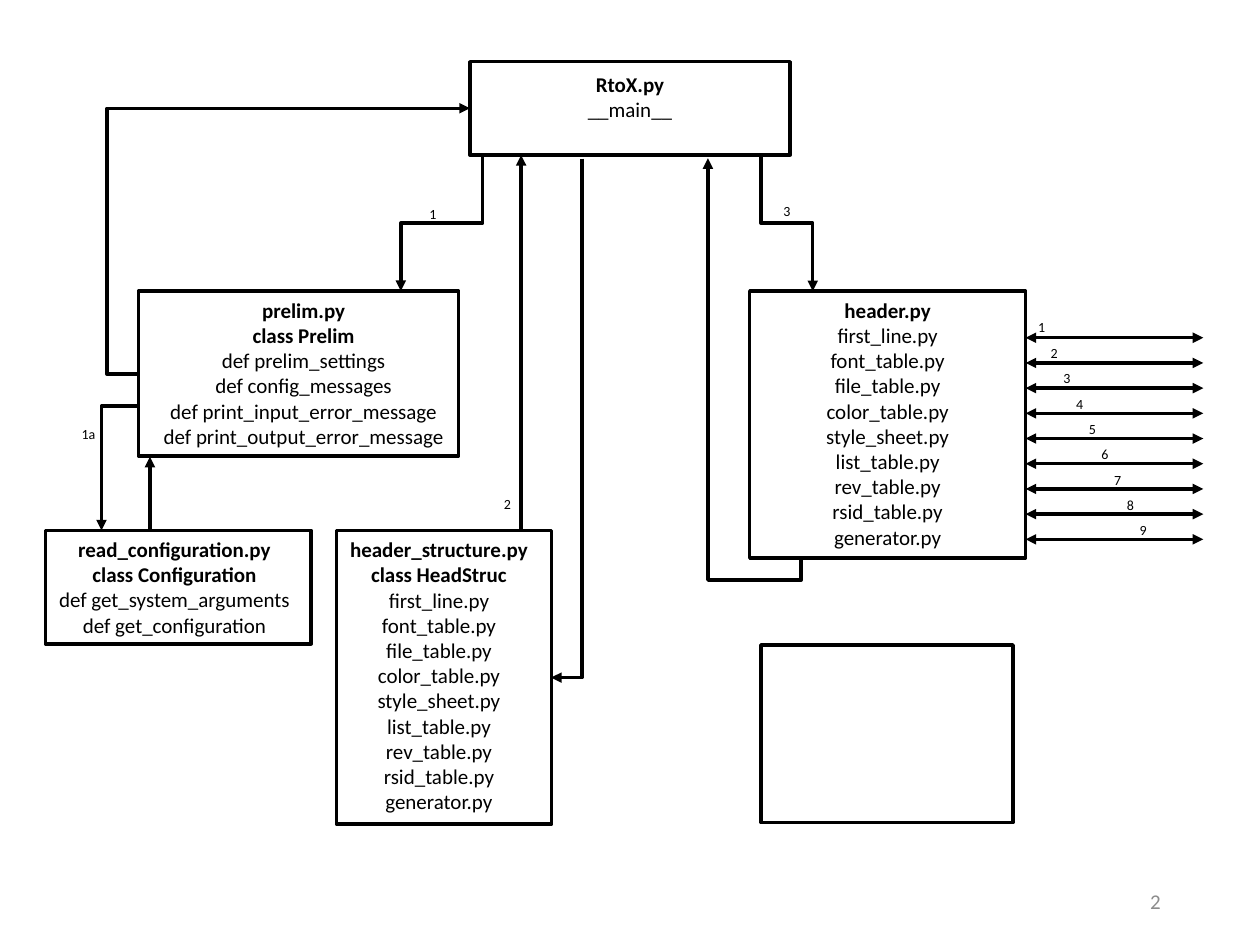
import pptx
import pptx.util
import pptx.dml.color
import pptx.enum.shapes
import pptx.enum.text
import pptx.oxml.ns
import pptx.oxml.xmlchemy

Pt = pptx.util.Pt
BLACK = pptx.dml.color.RGBColor(0, 0, 0)
GREY = pptx.dml.color.RGBColor(0x8C, 0x8C, 0x8C)
ALIGN = pptx.enum.text.PP_ALIGN
ANCHOR = pptx.enum.text.MSO_ANCHOR
LINK = pptx.enum.shapes.MSO_CONNECTOR

PARTS = ["first_line.py", "font_table.py", "file_table.py", "color_table.py",
         "style_sheet.py", "list_table.py", "rev_table.py", "rsid_table.py",
         "generator.py"]

BOXES = [
    dict(rect=(268.5, 35.3, 183, 53.3), text=(328.3, 37.4, 63.4, 36.3),
         heads=["RtoX.py"], lines=["__main__"]),
    dict(rect=(79.2, 166.3, 182.9, 94.3), text=(85.7, 166.3, 175.7, 94.3),
         heads=["prelim.py", "class Prelim"],
         lines=["def prelim_settings", "def config_messages",
                "def print_input_error_message",
                "def print_output_error_message"]),
    dict(rect=(428.4, 166.3, 157.7, 152.6), text=(464.4, 166.3, 85.7, 152.6),
         heads=["header.py"], lines=PARTS),
    dict(rect=(192.2, 303.1, 123.1, 167.8), text=(192.2, 303.1, 117.4, 183.6),
         heads=["header_structure.py", "class HeadStruc"], lines=PARTS),
    dict(rect=(25.9, 303.1, 151.9, 64.8), text=(25.9, 303.1, 147.6, 55.4),
         heads=["read_configuration.py", "class Configuration"],
         lines=["def get_system_arguments", "def get_configuration"]),
    dict(rect=(434.9, 368.6, 144, 101.5)),
]

ELBOWS = [
    dict(start=(275.8, 88.6), end=(229, 166.3), bend=0.5, down=True),
    dict(start=(79.2, 213.8), end=(268.5, 61.9), bend=-0.095, down=False),
    dict(start=(434.9, 88.6), end=(464.4, 166.3), bend=0.5, down=True),
    dict(start=(457.9, 318.9), end=(404.6, 90.4), bend=-0.055, down=True),
    dict(start=(332.6, 90.7), end=(314.9, 387.2), bend=None, down=True),
    dict(start=(79.2, 231.4), end=(58, 303.1), bend=0.008, down=True),
]

ARROWS = [((297.8, 303.1), (297.8, 88.6)), ((85.7, 303.1), (85.7, 261))]

STEPS = [("1", 238.3, 113.8), ("2", 280.8, 279.4), ("3", 440.6, 112.3),
         ("1a", 39.6, 239.8)]

deck = pptx.Presentation()
deck.slide_width, deck.slide_height = Pt(720), Pt(540)
slide = deck.slides.add_slide(deck.slide_layouts[6])


def write(text, spot, size=12, color=BLACK, bold=0, align=ALIGN.LEFT,
          anchor=ANCHOR.TOP, wrap=True):
    box = slide.shapes.add_textbox(*map(Pt, spot))
    frame = box.text_frame
    frame.word_wrap = wrap
    frame.vertical_anchor = anchor
    frame.text = text
    for row, para in enumerate(frame.paragraphs):
        para.alignment = align
        font = para.runs[0].font
        font.name, font.size, font.bold = "Calibri", Pt(size), row < bold
        font.color.rgb = color


def attach(parent, tag, **values):
    child = pptx.oxml.xmlchemy.OxmlElement(tag)
    for name, value in values.items():
        child.set(name, value)
    parent.append(child)


def style(link, ends):
    link.line.color.rgb = BLACK
    link.line.width = Pt(2)
    for end in ends:
        attach(link.get_or_add_ln(), "a:" + end, type="triangle")
    attach(link._element.spPr, "a:effectLst")


def arrow(start, end, ends=("tailEnd",)):
    link = slide.shapes.add_connector(LINK.STRAIGHT, *map(Pt, start + end))
    style(link, ends)


def elbow(start, end, bend, down):
    across, along = end[0] - start[0], end[1] - start[1]
    wide, high = abs(across), abs(along)
    if down:
        wide, high = high, wide
    left = (start[0] + end[0] - wide) / 2
    top = (start[1] + end[1] - high) / 2
    link = slide.shapes.add_connector(
        LINK.ELBOW, Pt(left), Pt(top), Pt(left + wide), Pt(top + high))
    frame = link._element.spPr.find(pptx.oxml.ns.qn("a:xfrm"))
    if down:
        frame.set("rot", "5400000")
    turn = (along < 0, across > 0) if down else (across < 0, along < 0)
    for name, flip in zip(("flipH", "flipV"), turn):
        if flip:
            frame.set(name, "1")
    shape = link._element.spPr.find(pptx.oxml.ns.qn("a:prstGeom"))
    if bend is None:
        shape.set("prst", "bentConnector2")
    else:
        attach(shape.get_or_add_avLst(), "a:gd", name="adj1",
               fmla=f"val {round(bend * 100000)}")
    style(link, ("tailEnd",))


for box in BOXES:
    rect = slide.shapes.add_shape(
        pptx.enum.shapes.MSO_SHAPE.RECTANGLE, *map(Pt, box["rect"]))
    rect.shadow.inherit = False
    rect.fill.background()
    rect.line.color.rgb = BLACK
    rect.line.width = Pt(2)
    if "text" in box:
        write("\n".join(box["heads"] + box["lines"]), box["text"],
              bold=len(box["heads"]), align=ALIGN.CENTER, wrap=False)

for bent in ELBOWS:
    elbow(**bent)
for start, end in ARROWS:
    arrow(start, end)

for row in range(len(PARTS)):
    level = 193 + 14.4 * row
    arrow((586.1, level), (687.6, level), ("headEnd", "tailEnd"))
    write(str(row + 1), (586.1 + 7.25 * row, 178.7 + 14.5 * row, 14.4, 17),
          size=8)

for mark, left, top in STEPS:
    write(mark, (left, top, 14.4 if len(mark) == 1 else 23.8, 17), size=8)

write("2", (508.3, 500.5, 162, 28.8), color=GREY, align=ALIGN.RIGHT,
      anchor=ANCHOR.MIDDLE)

deck.save("out.pptx")
